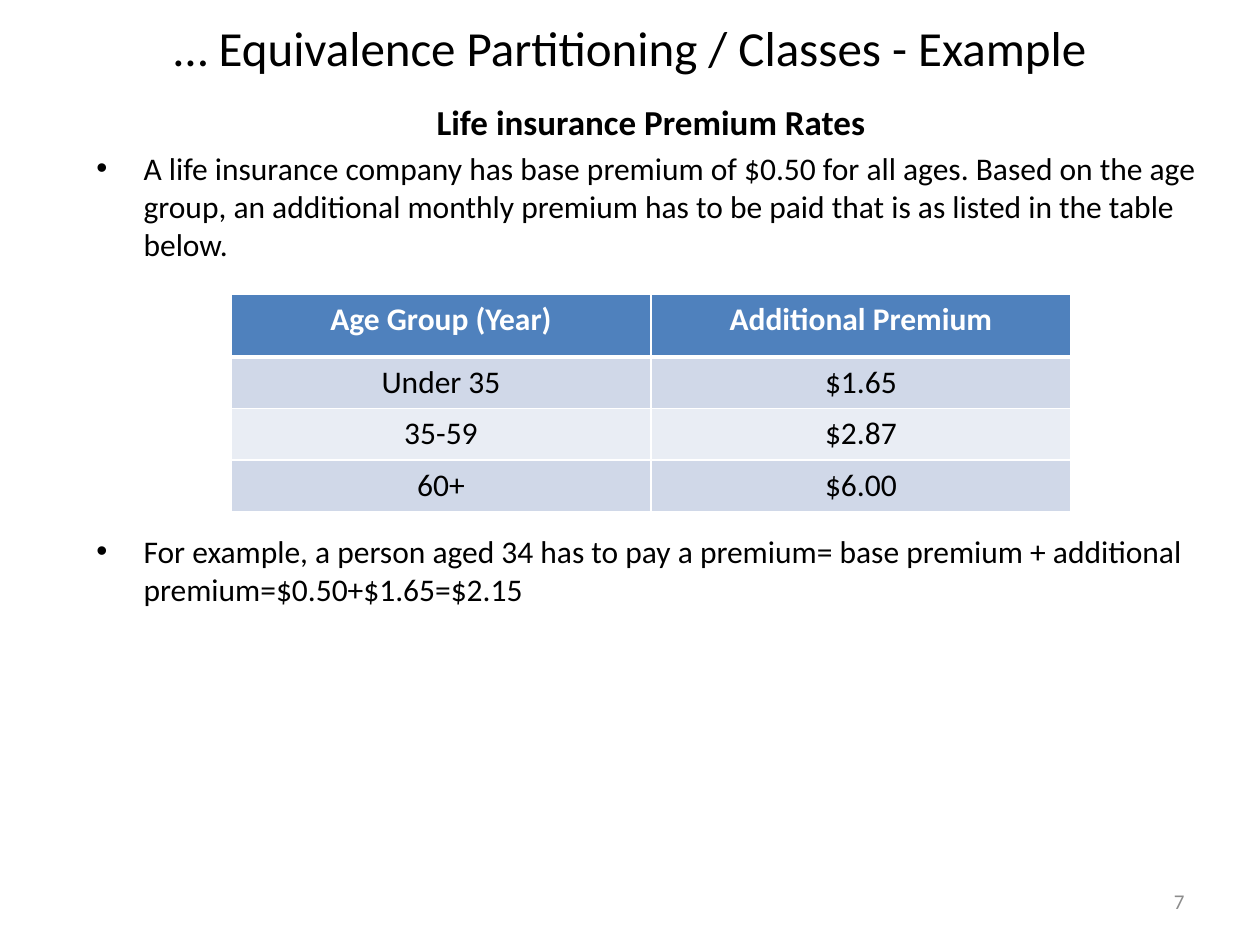
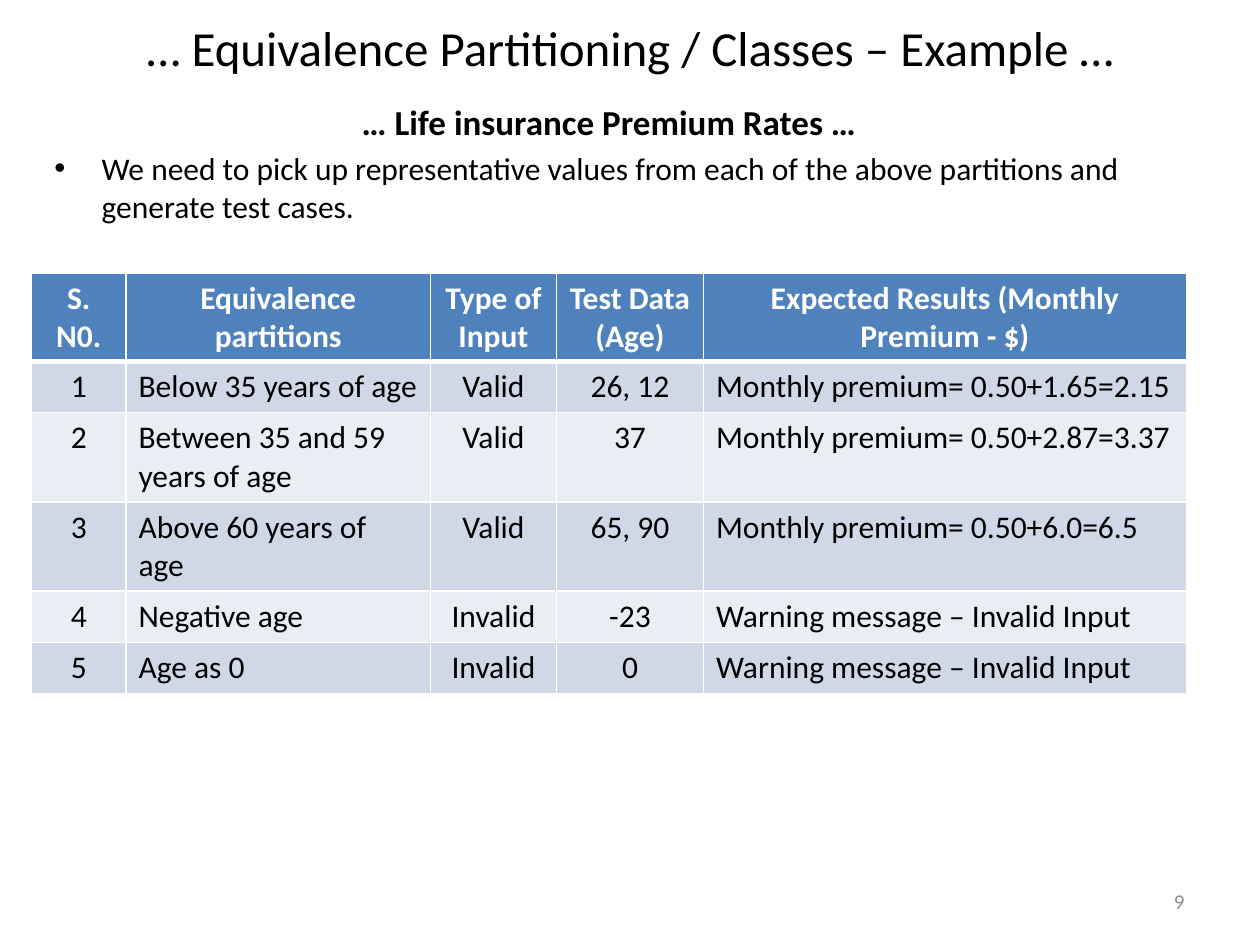
"""Builds two slides on equivalence partitioning with life insurance premiums."""
from dataclasses import dataclass

from lxml import etree
from pptx import Presentation
from pptx import util as u
from pptx.dml.color import RGBColor
from pptx.enum import text
from pptx.oxml.ns import qn

CENTER, LEFT, RIGHT = text.PP_ALIGN.CENTER, text.PP_ALIGN.LEFT, text.PP_ALIGN.RIGHT


@dataclass(frozen=True)
class Theme:
    font: str = "Calibri"
    ink: str = "000000"
    paper: str = "FFFFFF"
    muted: str = "8C8C8C"
    header: str = "4F81BD"
    bands: tuple = ("D0D8E8", "E9EDF4")
    title: int = 28
    heading: int = 20
    body: int = 18
    footer: int = 12
    gap: float = 3.6
    rule: int = 1
    header_rule: int = 3


def px(n):
    return u.Emu(n * 7620)


class Deck:
    def __init__(self, theme):
        self.t = theme
        self.prs = Presentation()
        self.prs.slide_width, self.prs.slide_height = px(1200), px(900)
        self.s = None

    def slide(self, title, number):
        self.s = self.prs.slides.add_slide(self.prs.slide_layouts[6])
        middle = text.MSO_ANCHOR.MIDDLE
        tf = self.box(60, 0, 1080, 90, middle)
        self.run(tf.paragraphs[0], title, self.t.title, align=CENTER)
        tf = self.box(860, 834, 280, 48, middle)
        self.run(tf.paragraphs[0], str(number), self.t.footer, self.t.muted, align=RIGHT)

    def box(self, x, y, w, h, anchor=text.MSO_ANCHOR.TOP):
        tf = self.s.shapes.add_textbox(px(x), px(y), px(w), px(h)).text_frame
        tf.word_wrap = True
        tf.vertical_anchor = anchor
        return tf

    def run(self, p, words, size, color=None, bold=False, align=LEFT):
        p.alignment = align
        r = p.add_run()
        r.text = words
        r.font.name, r.font.size, r.font.bold = self.t.font, u.Pt(size), bold
        r.font.color.rgb = RGBColor.from_string(color or self.t.ink)

    def body(self, x, h, heading, bullets):
        tf = self.box(x, 90, 1080, h)
        self.run(tf.paragraphs[0], heading, self.t.heading, bold=True, align=CENTER)
        for words, before in bullets:
            p = tf.add_paragraph()
            self.bullet(p)
            p.space_before = u.Pt(before)
            self.run(p, words, self.t.body)

    def bullet(self, p):
        pPr = p._p.get_or_add_pPr()
        pPr.set("marL", str(px(45)))
        pPr.set("indent", str(px(-45)))
        etree.SubElement(pPr, qn("a:buFont"), typeface="Arial")
        etree.SubElement(pPr, qn("a:buChar"), char="•")

    def borders(self, cell, row):
        tcPr = cell._tc.get_or_add_tcPr()
        thick = {(0, "B"), (1, "T")}
        for side in "LRTB":
            width = self.t.header_rule if (row, side) in thick else self.t.rule
            ln = etree.SubElement(tcPr, qn(f"a:ln{side}"), w=str(u.Pt(width)))
            fill = etree.SubElement(ln, qn("a:solidFill"))
            etree.SubElement(fill, qn("a:srgbClr"), val=self.t.paper)

    def table(self, x, y, widths, heights, rows, left_columns=()):
        frame = self.s.shapes.add_table(len(rows), len(widths), px(x), px(y),
                                        px(sum(widths)), px(sum(heights)))
        table = frame.table
        table.horz_banding = False
        for column, w in zip(table.columns, widths):
            column.width = px(w)
        for i, (row, h, values) in enumerate(zip(table.rows, heights, rows)):
            row.height = px(h)
            head = i == 0
            fill = self.t.header if head else self.t.bands[(i - 1) % 2]
            color = self.t.paper if head else self.t.ink
            for j, (cell, value) in enumerate(zip(row.cells, values)):
                self.borders(cell, i)
                cell.fill.solid()
                cell.fill.fore_color.rgb = RGBColor.from_string(fill)
                align = LEFT if j in left_columns and not head else CENTER
                self.run(cell.text_frame.paragraphs[0], value, self.t.body, color, head, align)


def main():
    theme = Theme()
    deck = Deck(theme)

    deck.slide("… Equivalence Partitioning / Classes - Example", 7)
    deck.body(80, 810, "Life insurance Premium Rates", [
        ("A life insurance company has base premium of $0.50 for all ages. Based on the age "
         "group, an additional monthly premium has to be paid that is as listed in the table "
         "below.", theme.gap),
        ("For example, a person aged 34 has to pay a premium= base premium + additional "
         "premium=$0.50+$1.65=$2.15", 154),
    ])
    deck.table(220, 280, [400] * 2, [60] + [49] * 3, [
        ("Age Group (Year)", "Additional Premium"),
        ("Under 35", "$1.65"),
        ("35-59", "$2.87"),
        ("60+", "$6.00"),
    ])

    deck.slide("… Equivalence Partitioning / Classes – Example …", 9)
    deck.body(40, 140, "… Life insurance Premium Rates …", [
        ("We need to pick up representative values from each of the above partitions and "
         "generate test cases.", theme.gap),
    ])
    warning = "Warning message – Invalid Input"
    deck.table(30, 260, [90, 290, 120, 140, 460], [84, 49, 85, 85, 49, 49], [
        ("S. N0.", "Equivalence partitions", "Type of Input", "Test Data (Age)",
         "Expected Results (Monthly Premium - $)"),
        ("1", "Below 35 years of age", "Valid", "26, 12", "Monthly premium= 0.50+1.65=2.15"),
        ("2", "Between 35 and 59 years of age", "Valid", "37", "Monthly premium= 0.50+2.87=3.37"),
        ("3", "Above 60 years of age", "Valid", "65, 90", "Monthly premium= 0.50+6.0=6.5"),
        ("4", "Negative age", "Invalid", "-23", warning),
        ("5", "Age as 0", "Invalid", "0", warning),
    ], left_columns=(1, 4))

    deck.prs.save("out.pptx")


if __name__ == "__main__":
    main()
